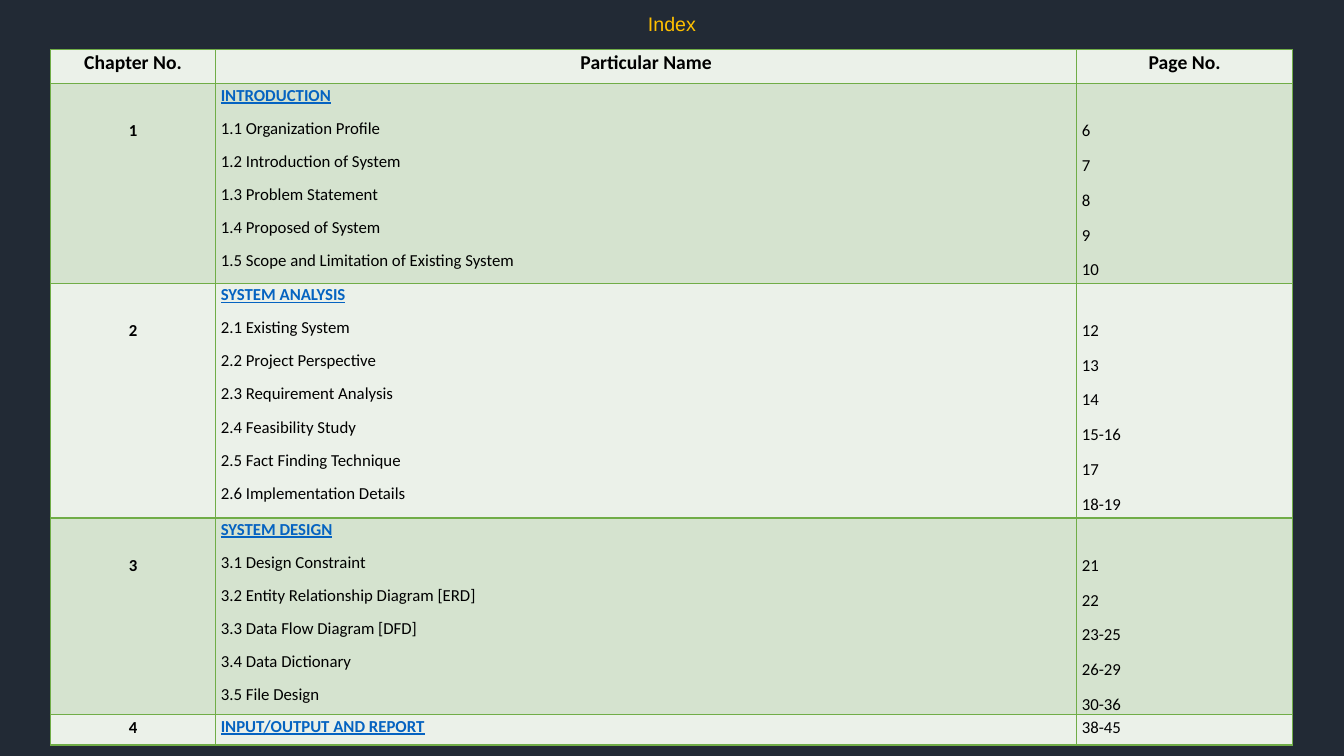
from lxml.etree import SubElement
from pptx import Presentation
from pptx.dml.color import RGBColor
from pptx.enum.text import MSO_ANCHOR as Anchor, PP_ALIGN as Align
from pptx.oxml.ns import qn
from pptx.util import Inches, Pt

TITLE = "Index"
HEADERS = ["Chapter No.", "Particular Name", "Page No."]
CHAPTERS = [
    ("1", "INTRODUCTION", [
        ("1.1 Organization Profile", "6"),
        ("1.2 Introduction of System", "7"),
        ("1.3 Problem Statement", "8"),
        ("1.4 Proposed of System", "9"),
        ("1.5 Scope and Limitation of Existing System", "10"),
    ]),
    ("2", "SYSTEM ANALYSIS", [
        ("2.1 Existing System", "12"),
        ("2.2 Project Perspective", "13"),
        ("2.3 Requirement Analysis", "14"),
        ("2.4 Feasibility Study", "15-16"),
        ("2.5 Fact Finding Technique", "17"),
        ("2.6 Implementation Details", "18-19"),
    ]),
    ("3", "SYSTEM DESIGN", [
        ("3.1 Design Constraint", "21"),
        ("3.2 Entity Relationship Diagram [ERD]", "22"),
        ("3.3 Data Flow Diagram [DFD]", "23-25"),
        ("3.4 Data Dictionary", "26-29"),
        ("3.5 File Design", "30-36"),
    ]),
    ("4", "INPUT/OUTPUT AND REPORT", [("", "38-45")]),
]
COLUMN_WIDTHS = [1.64, 8.54, 2.14]
ROW_HEIGHTS = [0.34, 1.98, 2.33, 1.87, 0.3]
TABLE_LEFT, TABLE_TOP = 0.5, 0.49
HEADING_LINE = 0.34
BACKGROUND, GOLD, BLACK, LINK = "222A35", "FFC000", "000000", "0563C1"
BORDER, BANDS = "70AD47", ["EBF1E9", "D5E3CF"]


def color(value):
    return RGBColor.from_string(value)


def write(frame, text, *, first=False, size=12, font="Calibri", ink=BLACK, bold=False,
          underline=False, align=Align.JUSTIFY, spacing=1.07, after=8):
    paragraph = frame.paragraphs[0] if first else frame.add_paragraph()
    paragraph.alignment = align
    paragraph.line_spacing = spacing
    paragraph.space_before = Pt(0)
    paragraph.space_after = Pt(after)
    run = paragraph.add_run()
    run.text = text
    run.font.name, run.font.size = font, Pt(size)
    run.font.bold, run.font.underline = bold, underline
    run.font.color.rgb = color(ink)


def style_cell(cell, fill, top):
    cell.margin_left = cell.margin_right = Inches(0.05)
    cell.margin_top, cell.margin_bottom = Inches(top), 0
    cell.vertical_anchor = Anchor.TOP
    properties = cell._tc.get_or_add_tcPr()
    for side in ("a:lnL", "a:lnR", "a:lnT", "a:lnB"):
        line = SubElement(properties, qn(side), w=str(Pt(1)))
        SubElement(SubElement(line, qn("a:solidFill")), qn("a:srgbClr"), val=BORDER)
    cell.fill.solid()
    cell.fill.fore_color.rgb = color(fill)


def add_title(slide):
    title = slide.shapes.title
    title.left, title.top = Inches(4.71), Inches(0.13)
    title.width, title.height = Inches(3.91), Inches(0.28)
    title.text_frame.vertical_anchor = Anchor.BOTTOM
    write(title.text_frame, TITLE, first=True, size=14, font="Arial", ink=GOLD,
          align=Align.CENTER, spacing=0.9, after=0)


def add_index(slide):
    table = slide.shapes.add_table(
        len(ROW_HEIGHTS), len(COLUMN_WIDTHS), Inches(TABLE_LEFT), Inches(TABLE_TOP),
        Inches(sum(COLUMN_WIDTHS)), Inches(sum(ROW_HEIGHTS))).table
    table.first_row = table.horz_banding = False
    for column, width in zip(table.columns, COLUMN_WIDTHS):
        column.width = Inches(width)
    for row, height in zip(table.rows, ROW_HEIGHTS):
        row.height = Inches(height)

    for index, header in enumerate(HEADERS):
        cell = table.cell(0, index)
        style_cell(cell, BANDS[0], 0)
        write(cell.text_frame, header, first=True, size=14, bold=True, align=Align.CENTER)

    for row, (number, heading, sections) in enumerate(CHAPTERS, start=1):
        names = [name for name, page in sections if name]
        drop = HEADING_LINE if names else 0
        cells = [table.cell(row, index) for index in range(len(HEADERS))]
        for cell, top in zip(cells, (drop, 0, drop)):
            style_cell(cell, BANDS[row % 2], top)
        number_frame, name_frame, page_frame = [cell.text_frame for cell in cells]
        write(number_frame, number, first=True, bold=True, align=Align.CENTER, spacing=1.15)
        write(name_frame, heading, first=True, bold=True, underline=True, ink=LINK)
        for name in names:
            write(name_frame, name)
        for index, (name, page) in enumerate(sections):
            write(page_frame, page, first=index == 0, spacing=1.15)


def main():
    presentation = Presentation()
    presentation.slide_width, presentation.slide_height = Inches(13.33), Inches(7.5)
    slide = presentation.slides.add_slide(presentation.slide_layouts[5])
    slide.background.fill.solid()
    slide.background.fill.fore_color.rgb = color(BACKGROUND)
    add_title(slide)
    add_index(slide)
    presentation.save("out.pptx")


if __name__ == "__main__":
    main()
